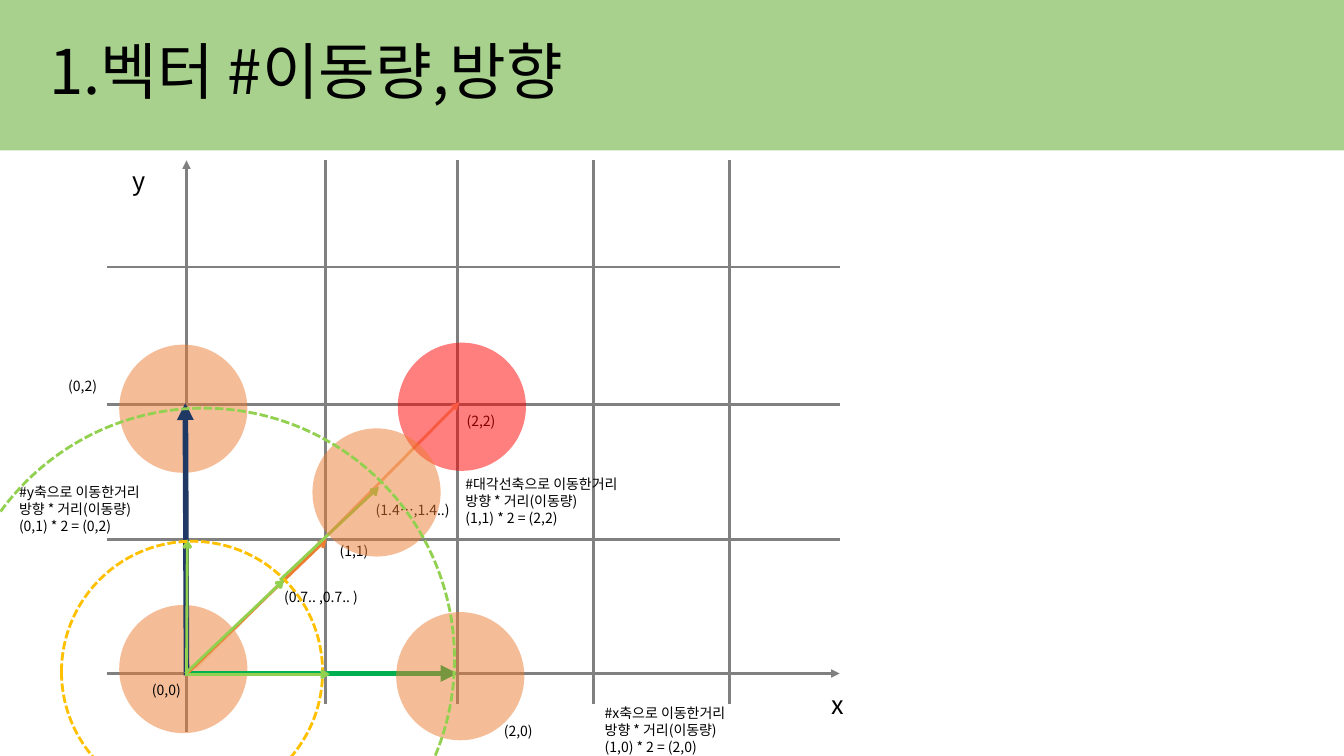
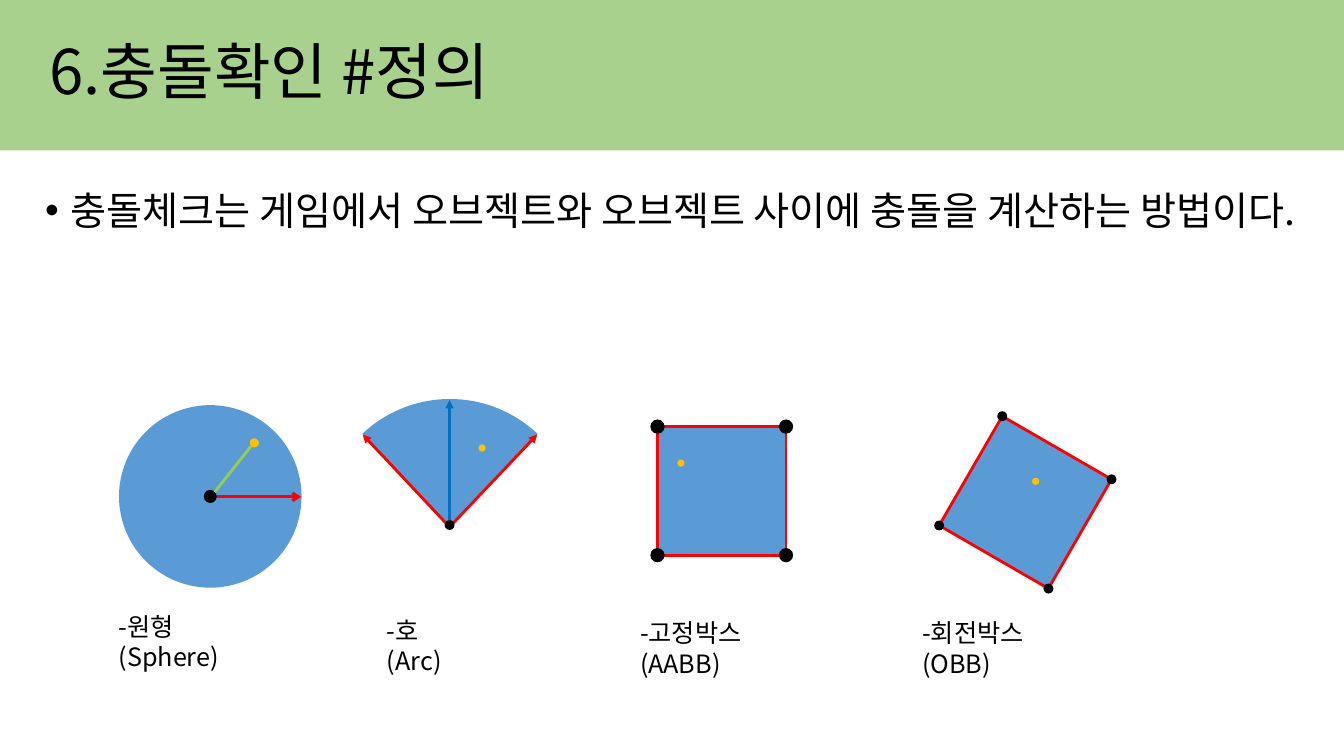
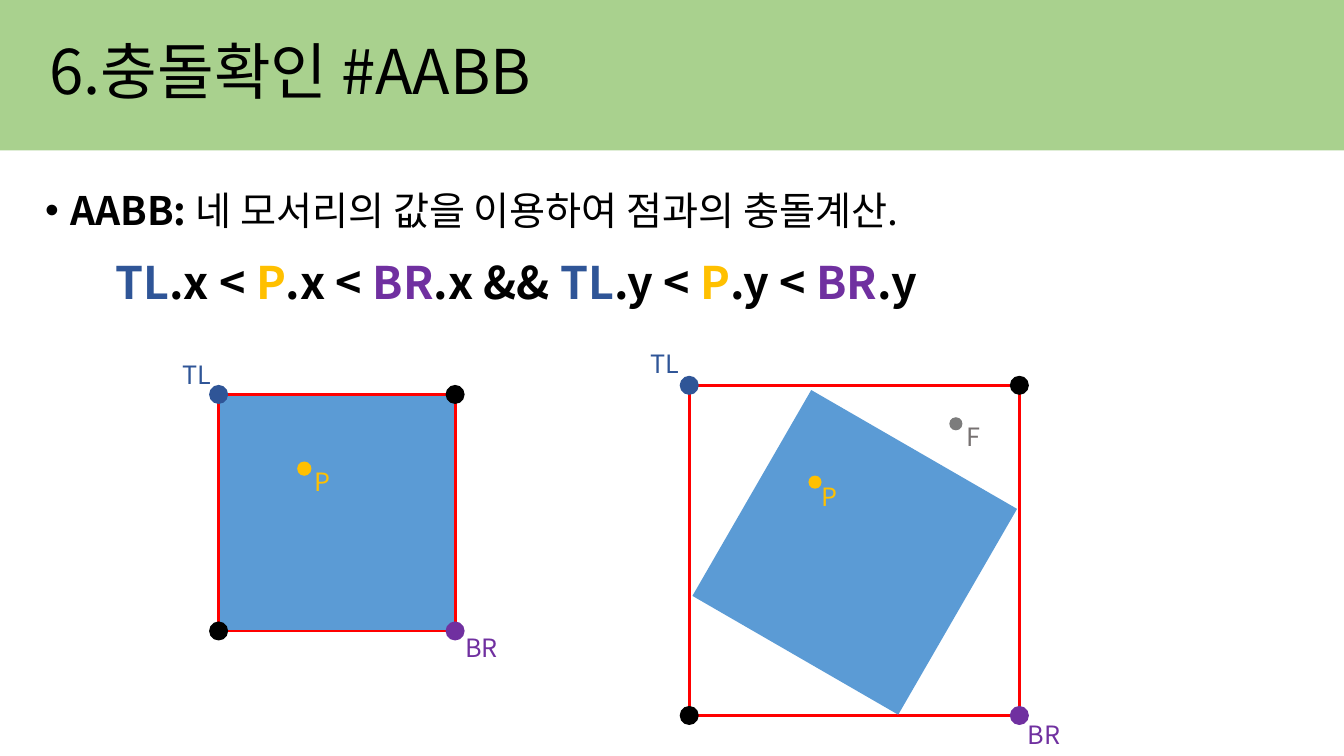
from math import cos, radians, sin

from lxml.etree import SubElement
from pptx import Presentation
from pptx.dml.color import RGBColor
from pptx.enum.dml import MSO_LINE
from pptx.enum.shapes import MSO_CONNECTOR, MSO_SHAPE
from pptx.enum.text import MSO_ANCHOR, MSO_AUTO_SIZE, PP_ALIGN
from pptx.oxml.ns import qn
from pptx.util import Cm, Pt

# Shared look
FONT = "Noto Sans CJK KR"
COLORS = {
    "band": "A9D18E", "text": "000000", "grid": "808080", "orange": "ED7D31",
    "peach": "F4B183", "red": "FF0000", "green": "00B050", "lime": "92D050",
    "navy": "203864", "gold": "FFC000", "area": "5B9BD5", "blue": "0070C0",
    "top_left": "2F5597", "bottom_right": "7030A0", "miss": "7C7C7C", "miss_text": "767171",
}
SLIDE_WIDTH, SLIDE_HEIGHT = 33.87, 19.05
BAND_HEIGHT = 3.79
TITLE_AREA = {"left": Cm(0.99), "top": Cm(0.05), "width": Cm(29.21), "height": Cm(3.68)}
TITLE_FRAME = {"vertical_anchor": MSO_ANCHOR.MIDDLE, "word_wrap": True,
               "auto_size": MSO_AUTO_SIZE.NONE}
TITLE_PARAGRAPH = {"alignment": PP_ALIGN.LEFT, "line_spacing": 0.9}

# Slide 1: grid and vectors, in centimetres, from back to front
ROWS = (6.73, 10.19, 13.59, 16.97)
COLUMNS = (4.70, 8.20, 11.53, 14.96, 18.39)
GRID_LEFT, GRID_RIGHT, GRID_TOP, GRID_BOTTOM, AXIS_BOTTOM = 2.69, 21.16, 4.04, 17.73, 18.44
BALL = 3.23

vector_parts = [
    ("line", (GRID_LEFT, y), (GRID_RIGHT, y), "grid", 2,
     "triangle" if y == ROWS[-1] else None) for y in ROWS
] + [
    ("line", (x, AXIS_BOTTOM if x == COLUMNS[0] else GRID_BOTTOM), (x, GRID_TOP), "grid", 2,
     "triangle" if x == COLUMNS[0] else None) for x in COLUMNS
] + [
    ("label", 3.10, 4.04, 0.97, "y"),
    ("label", 20.70, 17.25, 0.97, "x"),
    ("disc", 4.62, 16.86, BALL, "orange", 50),
    ("line", (4.65, 16.97), (11.53, 16.97), "green", 4, "triangle"),
    ("disc", 11.60, 17.04, BALL, "orange", 50),
    ("disc", 4.62, 10.30, BALL, "orange", 50),
    ("line", (4.70, 17.02), (4.67, 10.16), "navy", 4, "triangle"),
    ("label", 1.47, 9.40, 3.35, "(0,2)", 10),
    ("label", 12.45, 18.08, 3.35, "(2,0)", 10),
    ("label", 3.58, 17.04, 1.42, "(0,0)", 10),
    ("label", 0.23, 12.07, 6.40, "#y축으로 이동한거리\n방향 * 거리(이동량)\n(0,1) * 2 = (0,2)", 10),
    ("label", 14.99, 17.63, 6.40, "#x축으로 이동한거리\n방향 * 거리(이동량)\n(1,0) * 2 = (2,0)", 10),
    ("line", (4.70, 16.99), (4.72, 13.59), "lime", 2, "arrow"),
    ("label", 8.31, 13.54, 1.45, "(1,1)", 10),
    ("label", 11.51, 10.26, 1.45, "(2,2)", 10),
    ("line", (4.93, 16.84), (11.58, 10.13), "peach", 2, "triangle"),
    ("disc", 11.64, 10.25, BALL, "red", 50),
    ("label", 11.48, 11.86, 6.40, "#대각선축으로 이동한거리\n방향 * 거리(이동량)\n(1,1) * 2 = (2,2)", 10),
    ("line", (4.72, 16.97), (8.23, 13.59), "orange", 2, "arrow"),
    ("ring", 4.84, 16.93, 6.58, "gold"),
    ("line", (4.67, 16.97), (7.16, 14.61), "lime", 2, "arrow"),
    ("line", (4.67, 16.99), (8.31, 16.99), "lime", 2, "arrow"),
    ("line", (7.06, 14.61), (9.55, 12.27), "lime", 2, "arrow"),
    ("label", 6.91, 14.71, 2.54, "(0.7.. ,0.7.. )", 10),
    ("label", 9.22, 12.52, 2.74, "(1.4…,1.4..)", 10),
    ("disc", 9.49, 12.41, BALL, "orange", 50),
    ("ring", 5.13, 16.61, 12.65, "lime"),
]

# Slide 2: the four collision areas
BLACK_CORNERS = ("text",) * 4
definition_parts = [
    ("bullet", 2.82, [("충돌체크는 게임에서 오브젝트와 오브젝트 사이에 충돌을 계산하는 방법이다.", False)]),
    ("disc", 5.30, 12.51, 4.60, "area"),
    ("disc", 5.30, 12.51, 0.33, "text"),
    ("line", (5.46, 12.52), (7.59, 12.52), "red", 2, "arrow"),
    ("disc", 6.41, 11.16, 0.23, "gold"),
    ("line", (5.41, 12.40), (6.32, 11.25), "lime", 2),
    ("sector", 11.34, 13.27, 6.43, "area", 43.4),
    ("line", (11.33, 13.28), (11.33, 10.08), "blue", 2, "triangle"),
    ("line", (11.33, 13.28), (13.54, 10.95), "red", 2, "triangle"),
    ("line", (11.33, 13.28), (9.14, 10.95), "red", 2, "triangle"),
    ("disc", 11.33, 13.23, 0.25, "text"),
    ("disc", 12.15, 11.29, 0.18, "gold"),
    ("square", 18.19, 12.37, 3.24),
    ("frame", 18.19, 12.37, 3.24, BLACK_CORNERS, 0.36),
    ("disc", 17.16, 11.67, 0.18, "gold"),
    ("square", 25.84, 12.66, 3.18, 30),
    ("frame", 25.84, 12.66, 3.18, BLACK_CORNERS, 0.25, 30),
    ("disc", 26.10, 12.13, 0.18, "gold"),
    ("label", 2.74, 15.27, 4.45, "-원형\n(Sphere)"),
    ("label", 9.50, 15.37, 2.74, "-호\n(Arc)"),
    ("label", 15.88, 15.44, 5.33, "-고정박스\n(AABB)"),
    ("label", 22.99, 15.44, 4.98, "-회전박스\n(OBB)"),
]

# Slide 3: the AABB test, corners clockwise from top left
NAMED_CORNERS = ("top_left", "text", "bottom_right", "text")
formula = [
    ("TL", "top_left"), (".x < ", "text"), ("P", "gold"), (".x < ", "text"),
    ("BR", "bottom_right"), (".x && ", "text"), ("TL", "top_left"), (".y < ", "text"),
    ("P", "gold"), (".y < ", "text"), ("BR", "bottom_right"), (".y", "text"),
]
aabb_parts = [
    ("bullet", 1.55, [("AABB: ", True), ("네 모서리의 값을 이용하여 점과의 충돌계산.", False)]),
    ("formula", 2.66, 6.30, 28.96, formula),
    ("frame", 21.53, 13.87, 8.32, NAMED_CORNERS, 0.48),
    ("square", 21.54, 13.92, 5.99, 30),
    ("square", 8.49, 12.92, 5.99),
    ("frame", 8.49, 12.92, 5.96, NAMED_CORNERS, 0.48),
    ("label", 4.34, 8.92, 1.27, "TL", 18, "top_left"),
    ("label", 11.48, 15.80, 2.06, "BR", 18, "bottom_right"),
    ("label", 16.15, 8.66, 1.68, "TL", 18, "top_left"),
    ("label", 25.65, 18.01, 1.50, "BR", 18, "bottom_right"),
    ("disc", 20.54, 12.15, 0.33, "gold"),
    ("label", 20.45, 12.01, 1.02, "P", 18, "gold"),
    ("disc", 7.67, 11.81, 0.36, "gold"),
    ("label", 7.67, 11.63, 1.02, "P", 18, "gold"),
    ("disc", 24.09, 10.68, 0.33, "miss"),
    ("label", 24.10, 10.49, 0.94, "F", 18, "miss_text"),
]

SLIDES = [
    ("1.벡터 #이동량,방향", vector_parts),
    ("6.충돌확인 #정의", definition_parts),
    ("6.충돌확인 #AABB", aabb_parts),
]


# Formatting
def set_formats(target, formats):
    for name, value in formats.items():
        setattr(target, name, value)


def rgb(color):
    return RGBColor.from_string(COLORS[color])


def add_run(paragraph, text, size, color="text", bold=False):
    run = paragraph.add_run()
    run.text = text
    set_formats(run.font, {"name": FONT, "size": Pt(size), "bold": bold})
    run.font.color.rgb = rgb(color)
    SubElement(run.font._element, qn("a:ea"), typeface=FONT)


def add_text_frame(slide, left, top, width, height):
    frame = slide.shapes.add_textbox(Cm(left), Cm(top), Cm(width), Cm(height)).text_frame
    frame.word_wrap = True
    return frame


def add_area(slide, preset, cx, cy, size, color=None, opacity=None):
    area = slide.shapes.add_shape(preset, Cm(cx - size / 2), Cm(cy - size / 2), Cm(size), Cm(size))
    area.shadow.inherit = False
    area.line.fill.background()
    if color is None:
        area.fill.background()
    else:
        area.fill.solid()
        area.fill.fore_color.rgb = rgb(color)
    if opacity is not None:
        fill_color = area._element.spPr.find(".//" + qn("a:srgbClr"))
        SubElement(fill_color, qn("a:alpha"), val=str(opacity * 1000))
    return area


# Parts
def draw_disc(slide, cx, cy, size, color, opacity=None):
    add_area(slide, MSO_SHAPE.OVAL, cx, cy, size, color, opacity)


def draw_ring(slide, cx, cy, size, color):
    ring = add_area(slide, MSO_SHAPE.OVAL, cx, cy, size)
    ring.line.color.rgb = rgb(color)
    set_formats(ring.line, {"width": Pt(2), "dash_style": MSO_LINE.SQUARE_DOT})


def draw_sector(slide, cx, cy, size, color, half_angle):
    sector = add_area(slide, MSO_SHAPE.PIE, cx, cy, size, color)
    for index, angle in enumerate((270 - half_angle, 270 + half_angle)):
        sector.adjustments[index] = angle * 0.6


def draw_square(slide, cx, cy, size, rotation=0):
    add_area(slide, MSO_SHAPE.RECTANGLE, cx, cy, size, "area").rotation = rotation


def draw_line(slide, start, end, color, width, head=None):
    line = slide.shapes.add_connector(
        MSO_CONNECTOR.STRAIGHT, *(Cm(value) for value in (*start, *end)))
    line.line.color.rgb = rgb(color)
    line.line.width = Pt(width)
    if head:
        SubElement(line.line._get_or_add_ln(), qn("a:tailEnd"), type=head)
    SubElement(line._element.spPr, qn("a:effectLst"))


def draw_frame(slide, cx, cy, size, corner_colors, dot, rotation=0):
    half, turn = size / 2, radians(rotation)
    corners = [
        (cx + half * (x * cos(turn) - y * sin(turn)), cy + half * (x * sin(turn) + y * cos(turn)))
        for x, y in ((-1, -1), (1, -1), (1, 1), (-1, 1))
    ]
    for start, end in zip(corners, corners[1:] + corners[:1]):
        draw_line(slide, start, end, "red", 2)
    for (x, y), color in zip(corners, corner_colors):
        draw_disc(slide, x, y, dot, color)


def draw_label(slide, left, top, width, text, size=18, color="text"):
    lines = text.split("\n")
    frame = add_text_frame(slide, left, top, width, 0.25 + len(lines) * size * 0.043)
    for index, line in enumerate(lines):
        paragraph = frame.add_paragraph() if index else frame.paragraphs[0]
        add_run(paragraph, line, size, color)


def draw_bullet(slide, height, runs):
    paragraph = add_text_frame(slide, 0.89, 4.70, 32.05, height).paragraphs[0]
    paragraph.line_spacing = 0.9
    properties = paragraph._p.get_or_add_pPr()
    properties.set("marL", str(Cm(0.64)))
    properties.set("indent", str(-Cm(0.64)))
    SubElement(properties, qn("a:buFont"), typeface="Arial")
    SubElement(properties, qn("a:buChar"), char="•")
    for text, bold in runs:
        add_run(paragraph, text, 28, bold=bold)


def draw_formula(slide, left, top, width, runs):
    paragraph = add_text_frame(slide, left, top, width, 1.60).paragraphs[0]
    for text, color in runs:
        add_run(paragraph, text, 32, color, True)


DRAW = {
    "disc": draw_disc, "ring": draw_ring, "sector": draw_sector, "square": draw_square,
    "line": draw_line, "frame": draw_frame, "label": draw_label, "bullet": draw_bullet,
    "formula": draw_formula,
}


def add_titled_slide(deck, heading):
    slide = deck.slides.add_slide(deck.slide_layouts[5])
    band = slide.shapes.add_shape(
        MSO_SHAPE.RECTANGLE, 0, 0, Cm(SLIDE_WIDTH), Cm(BAND_HEIGHT))
    band.shadow.inherit = False
    band.fill.solid()
    band.fill.fore_color.rgb = rgb("band")
    band.line.fill.background()
    slide.shapes._spTree.insert(2, band._element)  # behind the title

    title = slide.shapes.title
    set_formats(title, TITLE_AREA)
    set_formats(title.text_frame, TITLE_FRAME)
    paragraph = title.text_frame.paragraphs[0]
    set_formats(paragraph, TITLE_PARAGRAPH)
    add_run(paragraph, heading, 44)
    return slide


def main():
    deck = Presentation()
    set_formats(deck, {"slide_width": Cm(SLIDE_WIDTH), "slide_height": Cm(SLIDE_HEIGHT)})
    for heading, parts in SLIDES:
        slide = add_titled_slide(deck, heading)
        for kind, *details in parts:
            DRAW[kind](slide, *details)
    deck.save("out.pptx")


if __name__ == "__main__":
    main()
